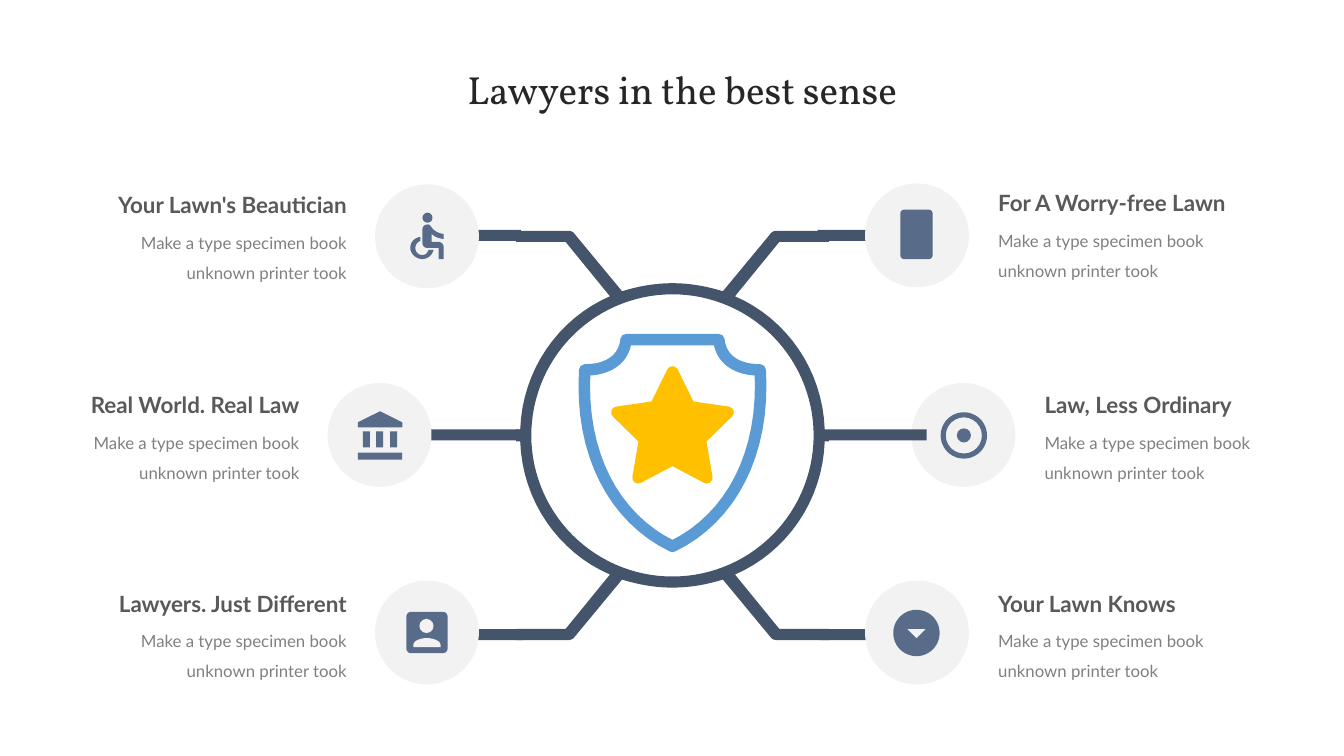
import math

import pptx
import pptx.dml.color
import pptx.enum.shapes
import pptx.enum.text
import pptx.oxml
import pptx.oxml.ns
import pptx.util

Inches = pptx.util.Inches
SHAPES = pptx.enum.shapes.MSO_SHAPE
ALIGN = pptx.enum.text.PP_ALIGN

COLORS = {
    "title": "262626", "heading": "595959", "body": "808080", "disc": "F2F2F2",
    "icon": "586C89", "frame": "44546A", "shield": "5B9BD5", "star": "FFC000",
}
TITLE = "Lawyers in the best sense"
BODY = "Make a type specimen book unknown printer took"

# Icon parts: (kind, colour, geometry), measured from the corner of the disc.
# A path lists points; an entry of six numbers is a Bezier curve.
ICONS = {
    "wheelchair": [
        (SHAPES.OVAL, "icon", (0.47, 0.28, 0.1, 0.1)),
        ("path", "icon", [
            (0.53, 0.65), (0.58, 0.65), (0.57, 0.7, 0.52, 0.74, 0.47, 0.74),
            (0.41, 0.74, 0.35, 0.69, 0.35, 0.63), (0.35, 0.57, 0.39, 0.53, 0.45, 0.52),
            (0.45, 0.56), (0.42, 0.57, 0.4, 0.6, 0.4, 0.63),
            (0.4, 0.67, 0.43, 0.7, 0.47, 0.7), (0.5, 0.7, 0.52, 0.68, 0.53, 0.65)]),
        ("path", "icon", [
            (0.54, 0.4), (0.58, 0.45), (0.61, 0.47, 0.64, 0.49, 0.68, 0.49),
            (0.68, 0.54), (0.64, 0.54, 0.59, 0.52, 0.56, 0.49), (0.56, 0.57),
            (0.63, 0.57), (0.65, 0.57, 0.68, 0.59, 0.68, 0.62), (0.68, 0.74),
            (0.63, 0.74), (0.63, 0.63), (0.52, 0.63),
            (0.49, 0.63, 0.47, 0.61, 0.47, 0.58), (0.47, 0.45),
            (0.47, 0.41, 0.5, 0.39, 0.54, 0.4)]),
    ],
    "bank": [
        ("path", "icon", [(0.52, 0.28), (0.74, 0.39), (0.74, 0.44), (0.3, 0.44), (0.3, 0.39)]),
        *[(SHAPES.RECTANGLE, "icon", (x, 0.48, 0.07, 0.16)) for x in (0.35, 0.48, 0.62)],
        (SHAPES.RECTANGLE, "icon", (0.3, 0.69, 0.44, 0.07)),
    ],
    "contact": [
        (SHAPES.ROUNDED_RECTANGLE, "icon", (0.31, 0.31, 0.41, 0.41)),
        (SHAPES.OVAL, "disc", (0.44, 0.38, 0.14, 0.14)),
        ("path", "disc", [
            (0.38, 0.64), (0.38, 0.66), (0.65, 0.66), (0.65, 0.64),
            (0.65, 0.59, 0.56, 0.57, 0.51, 0.57), (0.47, 0.57, 0.38, 0.59, 0.38, 0.64)]),
    ],
    "plain": [(SHAPES.ROUNDED_RECTANGLE, "icon", (0.35, 0.26, 0.32, 0.49))],
    "target": [
        (SHAPES.DONUT, "icon", (0.29, 0.29, 0.46, 0.46)),
        (SHAPES.OVAL, "icon", (0.45, 0.45, 0.14, 0.14)),
    ],
    "dropdown": [
        (SHAPES.OVAL, "icon", (0.28, 0.29, 0.46, 0.46)),
        ("path", "disc", [(0.42, 0.48), (0.6, 0.48), (0.51, 0.57)]),
    ],
}
# Heading, icon, left and top of the disc, top of the heading
BEHIND_FRAME = [("Law, Less Ordinary", "target", 9.04, 3.8, 3.88)]
OVER_FRAME = [
    ("Your Lawn's Beautician", "wheelchair", 3.72, 1.83, 1.9),
    ("Real World. Real Law", "bank", 3.25, 3.8, 3.88),
    ("Lawyers. Just Different", "contact", 3.72, 5.76, 5.85),
    ("For A Worry-free Lawn", "plain", 8.58, 1.82, 1.88),
    ("Your Lawn Knows", "dropdown", 8.58, 5.76, 5.85),
]
CENTER_X, CENTER_Y = 6.67, 4.32
# Left, top and width of the bars that reach the discs
BARS = [(4.22, 4.26, 0.93), (4.73, 6.24, 0.46), (4.73, 2.28, 0.44),
        (8.11, 2.28, 0.5), (8.14, 6.24, 0.47), (8.22, 4.26, 0.97)]
BAR_HEIGHT = 0.11
# One quarter of the frame, as distances right of and above the centre
FRAME_QUARTER = [
    (0, 1.51), (0.17, 1.51, 0.34, 1.48, 0.5, 1.43), (0.98, 2.01),
    (0.99, 2.02, 1.01, 2.03, 1.03, 2.03), (1.55, 2.03), (1.55, 1.92), (1.06, 1.92),
    (0.62, 1.38), (1.13, 1.16, 1.49, 0.65, 1.51, 0.06), (1.55, 0.06),
]
HOLE_RADIUS = 1.4
STROKE = 8.25
SHIELD_HALF = [
    (6.67, 3.37), (7.13, 3.37), (7.15, 3.56, 7.3, 3.67, 7.54, 3.67),
    (7.59, 4.5, 7.25, 5.14, 6.67, 5.42),
]
STAR_Y, STAR_RADII = 4.27, (0.58, 0.29)
DISC, TEXT_WIDTH = 1.03, 2.31
GAP_LEFT, GAP_RIGHT = 0.28, 0.29

deck = pptx.Presentation()
deck.slide_width, deck.slide_height = Inches(13.33), Inches(7.5)
page = deck.slides.add_slide(deck.slide_layouts[6])


def rgb(name):
    return pptx.dml.color.RGBColor.from_string(COLORS[name])


def paint(shape, fill=None, line=None):
    shape.shadow.inherit = False
    if fill:
        shape.fill.solid()
        shape.fill.fore_color.rgb = rgb(fill)
    else:
        shape.fill.background()
    if not line:
        shape.line.fill.background()
        return
    shape.line.color.rgb = rgb(line)
    shape.line.width = pptx.util.Pt(STROKE)
    outline = shape.element.find(".//" + pptx.oxml.ns.qn("a:ln"))
    outline.append(pptx.oxml.parse_xml(f"<a:round {pptx.oxml.ns.nsdecls('a')}/>"))


def flatten(path, steps=16):
    """Turn each Bezier curve of the path into short straight steps."""
    points = []
    for entry in path:
        if len(entry) == 2:
            points.append(entry)
            continue
        corners = [points[-1], entry[:2], entry[2:4], entry[4:]]
        for step in range(1, steps + 1):
            t = step / steps
            weights = [math.comb(3, i) * t**i * (1 - t)**(3 - i) for i in range(4)]
            points.append(tuple(
                sum(w * corner[axis] for w, corner in zip(weights, corners)) for axis in (0, 1)))
    return points


def add_path(*contours, **colors):
    """Draw closed contours as one shape; an inner contour makes a hole."""
    outlines = [[(Inches(x), Inches(y)) for x, y in points] for points in contours]
    builder = page.shapes.build_freeform(*outlines[0][0])
    for number, points in enumerate(outlines):
        if number:
            builder.move_to(*points[0])
        builder.add_line_segments(points[1:], close=True)
    paint(builder.convert_to_shape(), **colors)


def add_preset(kind, left, top, width, height, **colors):
    shape = page.shapes.add_shape(kind, *map(Inches, (left, top, width, height)))
    if kind in (SHAPES.DONUT, SHAPES.ROUNDED_RECTANGLE):
        shape.adjustments[0] = 0.11
    paint(shape, **colors)


def add_text(text, area, align, color, spacing, font):
    box = page.shapes.add_textbox(*map(Inches, area))
    frame = box.text_frame
    settings = {"word_wrap": True, "margin_left": 0, "margin_right": 0,
                "margin_top": 0, "margin_bottom": 0,
                "auto_size": pptx.enum.text.MSO_AUTO_SIZE.SHAPE_TO_FIT_TEXT}
    for name, value in settings.items():
        setattr(frame, name, value)
    para = frame.paragraphs[0]
    para.alignment, para.line_spacing = align, spacing
    span = para.add_run()
    span.text = text
    for name, value in font.items():
        setattr(span.font, name, value)
    span.font.color.rgb = rgb(color)
    return frame


def add_item(heading, icon, left, top, text_top):
    add_preset(SHAPES.OVAL, left, top, DISC, DISC, fill="disc")
    for kind, color, geometry in ICONS[icon]:
        if kind == "path":
            add_path([(left + x, top + y) for x, y in flatten(geometry)], fill=color)
        else:
            x, y, width, height = geometry
            add_preset(kind, left + x, top + y, width, height, fill=color)
    on_left = left < CENTER_X
    align = ALIGN.RIGHT if on_left else ALIGN.LEFT
    text_left = left - GAP_LEFT - TEXT_WIDTH if on_left else left + DISC + GAP_RIGHT
    add_text(heading, (text_left, text_top, TEXT_WIDTH, 0.27), align, "heading", 1.0,
             {"name": "Lato", "size": pptx.util.Pt(16), "bold": True})
    add_text(BODY, (text_left, text_top + 0.31, TEXT_WIDTH, 0.57), align, "body", 1.5,
             {"name": "Lato", "size": pptx.util.Pt(12)})


def add_frame():
    for left, top, width in BARS:
        add_preset(SHAPES.RECTANGLE, left, top, width, BAR_HEIGHT, fill="frame")
    quarter = flatten(FRAME_QUARTER)
    right = quarter + [(x, -y) for x, y in reversed(quarter)]
    whole = right + [(-x, y) for x, y in reversed(right)]
    angles = [math.radians(3 * step) for step in range(120)]
    hole = [(HOLE_RADIUS * math.cos(a), HOLE_RADIUS * math.sin(a)) for a in angles]
    add_path(*[[(CENTER_X + x, CENTER_Y - y) for x, y in contour] for contour in (whole, hole)],
             fill="frame")


def add_emblem():
    star = []
    for corner in range(10):
        angle, radius = math.radians(36 * corner), STAR_RADII[corner % 2]
        star.append((CENTER_X + radius * math.sin(angle), STAR_Y - radius * math.cos(angle)))
    add_path(star, fill="star", line="star")
    half = flatten(SHIELD_HALF)
    mirrored = [(2 * CENTER_X - x, y) for x, y in reversed(half[1:-1])]
    add_path(half + mirrored, line="shield")


title = add_text(TITLE, (4.07, 0.7, 5.39, 0.42), ALIGN.CENTER, "title", pptx.util.Pt(30),
                 {"name": "Vollkorn", "size": pptx.util.Pt(28)})
title.vertical_anchor = pptx.enum.text.MSO_ANCHOR.MIDDLE
for item in BEHIND_FRAME:
    add_item(*item)
add_frame()
add_emblem()
for item in OVER_FRAME:
    add_item(*item)
deck.save("out.pptx")
